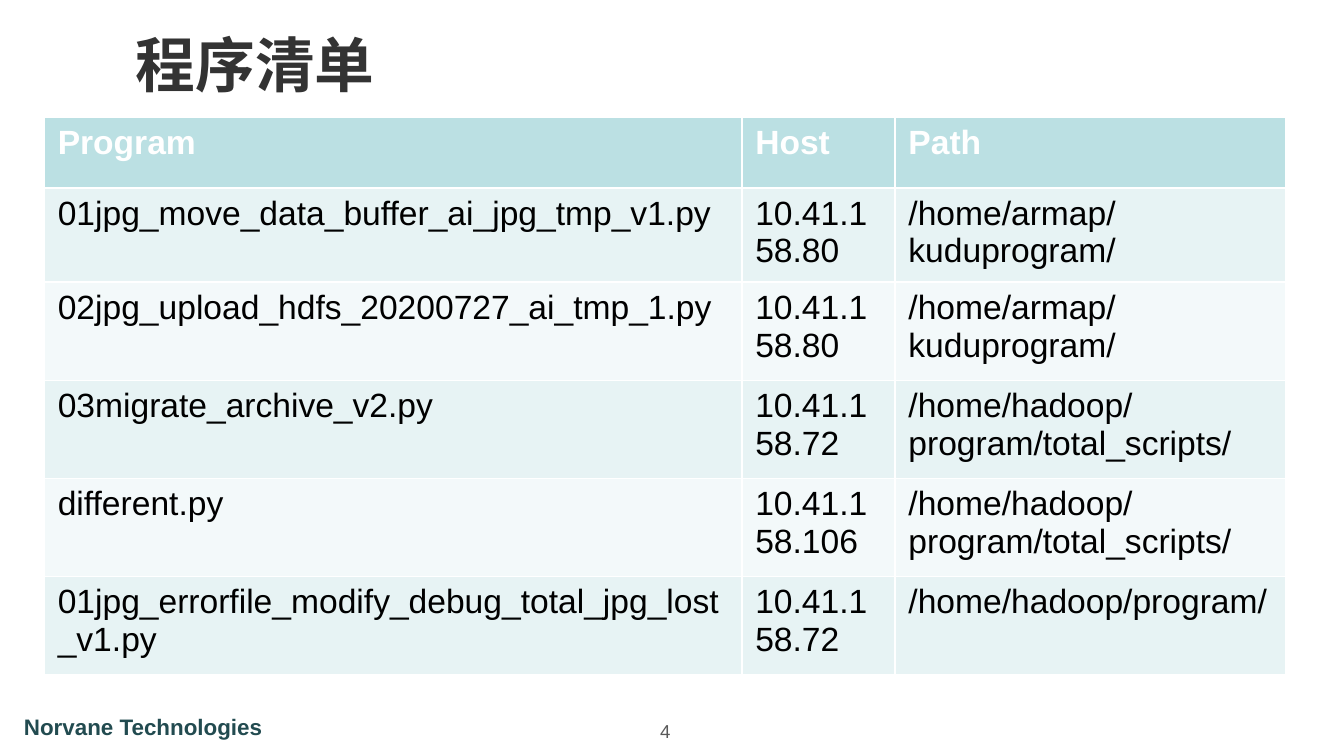
from dataclasses import dataclass

from pptx import Presentation
from pptx.dml.color import RGBColor
from pptx.enum.text import MSO_ANCHOR, PP_ALIGN
from pptx.util import Inches, Pt


@dataclass(frozen=True)
class Theme:
    font: str = "Arial"
    title_color: str = "333333"
    footer_color: str = "224B50"
    number_color: str = "595959"
    text_color: str = "000000"
    header_color: str = "FFFFFF"
    header_fill: str = "BBE0E3"
    band_fills: tuple = ("E7F3F4", "F3F9FA")
    title_size: int = 32
    table_size: int = 18
    footer_size: int = 12
    number_size: int = 10


THEME = Theme()
SLIDE_WIDTH = 10
SLIDE_HEIGHT = SLIDE_WIDTH * 9 / 16
TABLE_LEFT, TABLE_TOP = 0.33, 0.87
COLUMN_WIDTHS = (5.19, 1.14, 2.91)
ROW_HEIGHTS = (0.53, 0.52) + (0.73,) * 4

HEADER = ("Program", "Host", "Path")
PROGRAMS = (
    ("01jpg_move_data_buffer_ai_jpg_tmp_v1.py", "10.41.158.80", "/home/armap/kuduprogram/"),
    ("02jpg_upload_hdfs_20200727_ai_tmp_1.py", "10.41.158.80", "/home/armap/kuduprogram/"),
    ("03migrate_archive_v2.py", "10.41.158.72", "/home/hadoop/program/total_scripts/"),
    ("different.py", "10.41.158.106", "/home/hadoop/program/total_scripts/"),
    ("01jpg_errorfile_modify_debug_total_jpg_lost_v1.py", "10.41.158.72", "/home/hadoop/program/"),
)


def write_text(frame, text, *, size, color, bold=False, align=PP_ALIGN.LEFT):
    para = frame.paragraphs[0]
    para.alignment = align
    span = para.add_run()
    span.text = text
    span.font.name = THEME.font
    span.font.size = Pt(size)
    span.font.bold = bold
    span.font.color.rgb = RGBColor.from_string(color)


def set_title(page, text):
    title = page.shapes.title
    title.left, title.top = Inches(0.91), Inches(0.15)
    title.width, title.height = Inches(8.67), Inches(0.64)
    title.text_frame.vertical_anchor = MSO_ANCHOR.MIDDLE
    write_text(title.text_frame, text, size=THEME.title_size,
               color=THEME.title_color, bold=True)


def add_label(page, text, area, *, wrap=True, **text_format):
    box = page.shapes.add_textbox(*map(Inches, area))
    box.text_frame.word_wrap = wrap
    write_text(box.text_frame, text, **text_format)


def fill_row(row, texts, *, fill, **text_format):
    for cell, text in zip(row.cells, texts):
        cell.fill.solid()
        cell.fill.fore_color.rgb = RGBColor.from_string(fill)
        write_text(cell.text_frame, text, size=THEME.table_size, **text_format)


def add_program_table(page):
    """Add the table; its white rules come from the default table style."""
    area = (TABLE_LEFT, TABLE_TOP, sum(COLUMN_WIDTHS), sum(ROW_HEIGHTS))
    table = page.shapes.add_table(len(ROW_HEIGHTS), len(COLUMN_WIDTHS),
                                  *map(Inches, area)).table
    for column, width in zip(table.columns, COLUMN_WIDTHS):
        column.width = Inches(width)
    for row, height in zip(table.rows, ROW_HEIGHTS):
        row.height = Inches(height)

    fill_row(table.rows[0], HEADER, fill=THEME.header_fill,
             color=THEME.header_color, bold=True)
    for index, program in enumerate(PROGRAMS):
        fill_row(table.rows[index + 1], program, color=THEME.text_color,
                 fill=THEME.band_fills[index % 2])


def main():
    deck = Presentation()
    deck.slide_width, deck.slide_height = Inches(SLIDE_WIDTH), Inches(SLIDE_HEIGHT)
    title_only = deck.slide_layouts[5]
    page = deck.slides.add_slide(title_only)

    add_label(page, "Norvane Technologies", (0.08, 5.26, 2.07, 0.3), wrap=False,
              size=THEME.footer_size, color=THEME.footer_color, bold=True)
    set_title(page, "程序清单")
    add_label(page, "4", (4.66, 5.31, 0.58, 0.31), size=THEME.number_size,
              color=THEME.number_color, align=PP_ALIGN.CENTER)
    add_program_table(page)
    deck.save("out.pptx")


if __name__ == "__main__":
    main()
